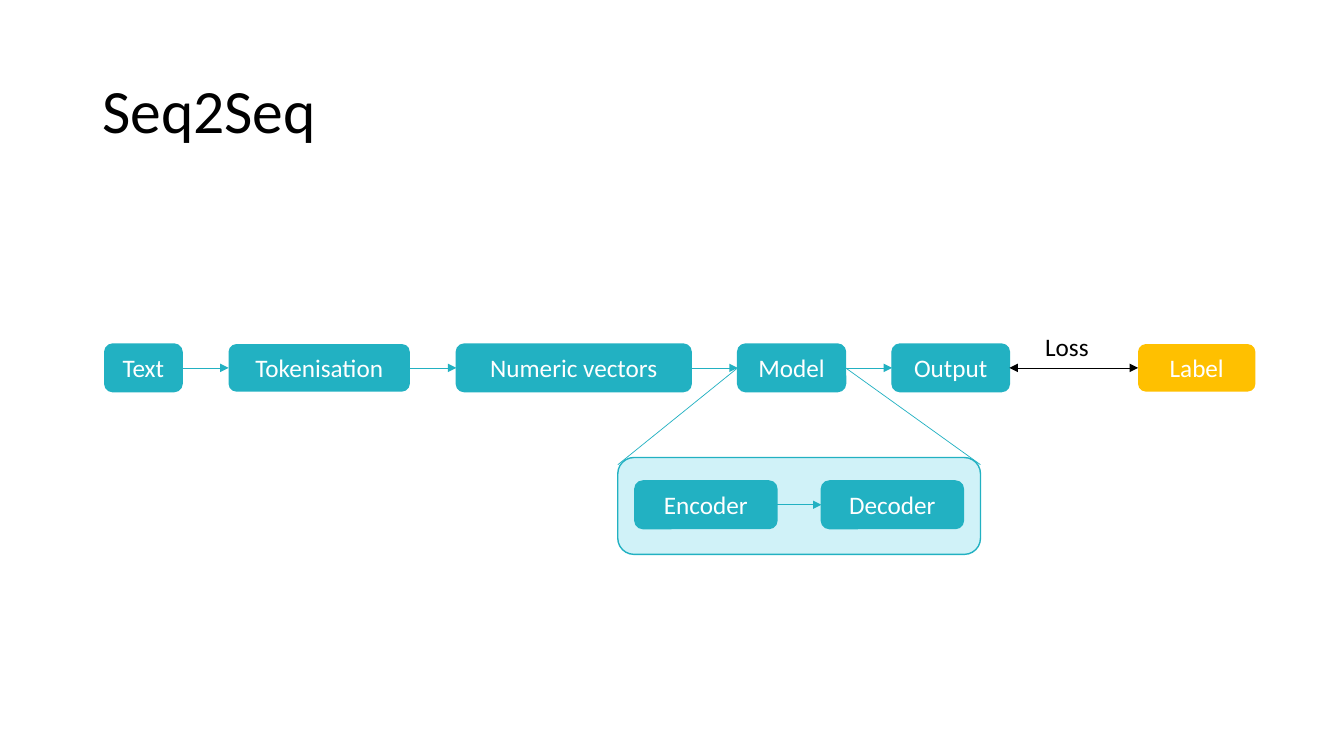
from lxml import etree
from pptx import Presentation
from pptx.dml.color import RGBColor
from pptx.enum.shapes import MSO_CONNECTOR, MSO_SHAPE
from pptx.enum.text import MSO_ANCHOR, PP_ALIGN
from pptx.oxml.ns import qn
from pptx.util import Cm, Pt

ROUNDED = MSO_SHAPE.ROUNDED_RECTANGLE
STRAIGHT = MSO_CONNECTOR.STRAIGHT
MIDDLE, TOP = MSO_ANCHOR.MIDDLE, MSO_ANCHOR.TOP
LEFT, CENTER = PP_ALIGN.LEFT, PP_ALIGN.CENTER
LEFT_SITE, RIGHT_SITE = 1, 3
COLORS = {"teal": "22B1C2", "pale": "D0F2F8", "amber": "FFC000",
          "white": "FFFFFF", "black": "000000"}


def add_box(text, x, y, w, h, fill=None, line=None, size=18, color="white",
            align=CENTER, anchor=MIDDLE, wrap=True, spacing=None):
    if fill:
        sp = s.shapes.add_shape(ROUNDED, Cm(x), Cm(y), Cm(w), Cm(h))
        sp.shadow.inherit = False
        sp.fill.solid()
        sp.fill.fore_color.rgb = RGBColor.from_string(COLORS[fill])
        if line:
            sp.line.color.rgb = RGBColor.from_string(COLORS[line])
            sp.line.width = Pt(1)
        else:
            sp.line.fill.background()
    else:
        sp = s.shapes.add_textbox(Cm(x), Cm(y), Cm(w), Cm(h))
    if text:
        tf = sp.text_frame
        tf.word_wrap = wrap
        tf.vertical_anchor = anchor
        p = tf.paragraphs[0]
        p.alignment = align
        p.line_spacing = spacing
        r = p.add_run()
        r.text = text
        r.font.name = "Calibri"
        r.font.size = Pt(size)
        r.font.color.rgb = RGBColor.from_string(COLORS[color])
    return sp


def add_line(x1, y1, x2, y2, color="teal", ends=()):
    c = s.shapes.add_connector(STRAIGHT, Cm(x1), Cm(y1), Cm(x2), Cm(y2))
    c.line.color.rgb = RGBColor.from_string(COLORS[color])
    c.line.width = Pt(0.5)
    ln = c.line._get_or_add_ln()
    for end in ends:
        etree.SubElement(ln, qn(f"a:{end}"), type="triangle")
    etree.SubElement(c._element.spPr, qn("a:effectLst"))
    return c


prs = Presentation()
prs.slide_width, prs.slide_height = Cm(33.87), Cm(19.05)
s = prs.slides.add_slide(prs.slide_layouts[6])

add_box("Seq2Seq", 2.33, 1.01, 29.21, 3.68, size=44, color="black",
        align=LEFT, spacing=0.9)

panel_x, panel_y, panel_w = 15.57, 11.53, 9.14
add_box("", panel_x, panel_y, panel_w, 2.44, fill="pale", line="teal")

box_h, row_y, inner_y = 1.2, 8.67, 12.12
row_mid = row_y + box_h / 2
steps = [
    ("Text", 1.95, 1.17, "teal", "teal"),
    ("Tokenisation", 4.57, 1.17, "teal", None),
    ("Numeric vectors", 5.92, 1.17, "teal", "teal"),
    ("Model", 2.72, 1.17, "teal", "teal"),
    ("Output", 2.96, 3.24, "teal", "teal"),
    ("Label", 2.96, 0, "amber", None),
]
boxes, x = {}, 2.64
for name, w, gap, fill, line in steps:
    boxes[name] = add_box(name, x, row_y, w, box_h, fill=fill, line=line)
    x += w + gap

for name, x in (("Encoder", 16), ("Decoder", 20.7)):
    boxes[name] = add_box(name, x, inner_y, 3.58, box_h, fill="teal", line="teal")

names = list(boxes)
for start, end in zip(names, names[1:]):
    if start == "Label":
        continue
    loss = end == "Label"
    c = add_line(0, 0, 1, 1, color="black" if loss else "teal",
                 ends=("headEnd", "tailEnd") if loss else ("tailEnd",))
    c.begin_connect(boxes[start], RIGHT_SITE)
    c.end_connect(boxes[end], LEFT_SITE)

for site, corner_x in ((LEFT_SITE, panel_x), (RIGHT_SITE, panel_x + panel_w)):
    c = add_line(panel_x, row_mid, corner_x, panel_y + 0.18)
    c.begin_connect(boxes["Model"], site)

add_box("Loss", 26.09, 8.23, 1.73, 1.02, color="black", align=LEFT,
        anchor=TOP, wrap=False)

prs.save("out.pptx")
